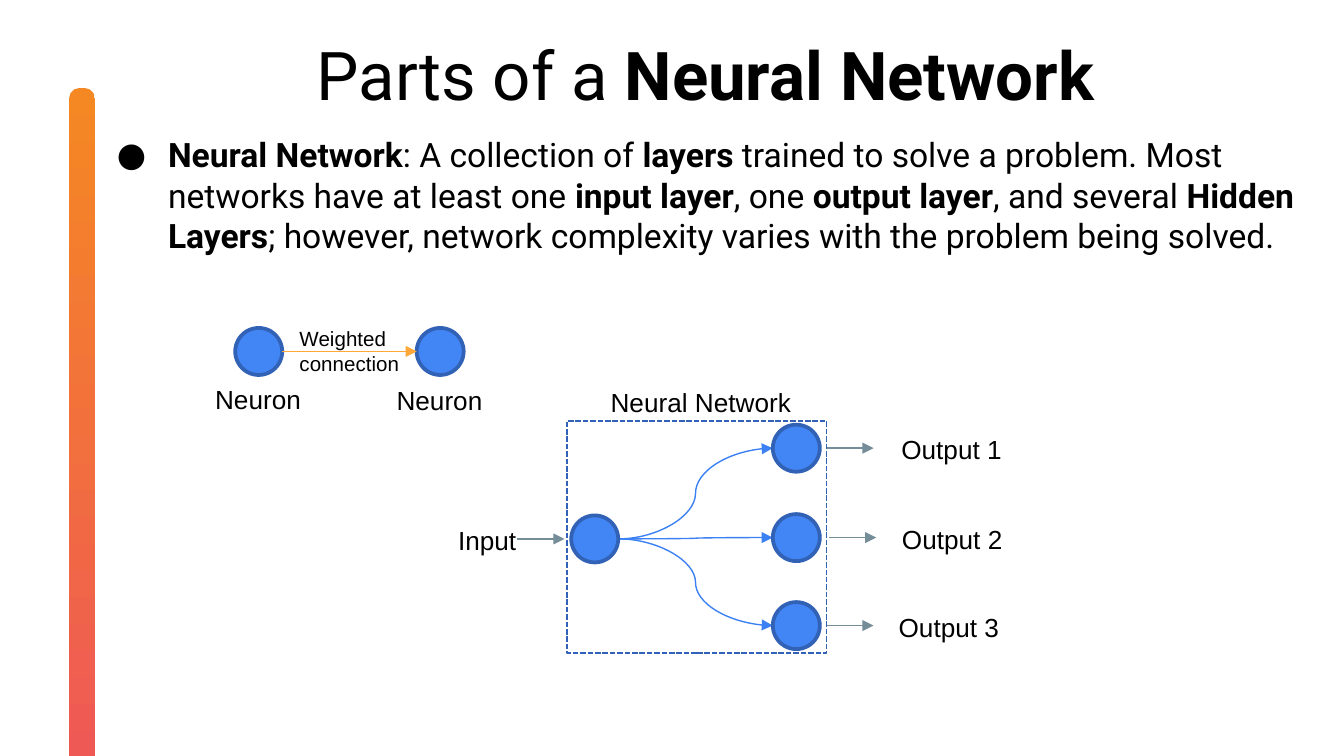
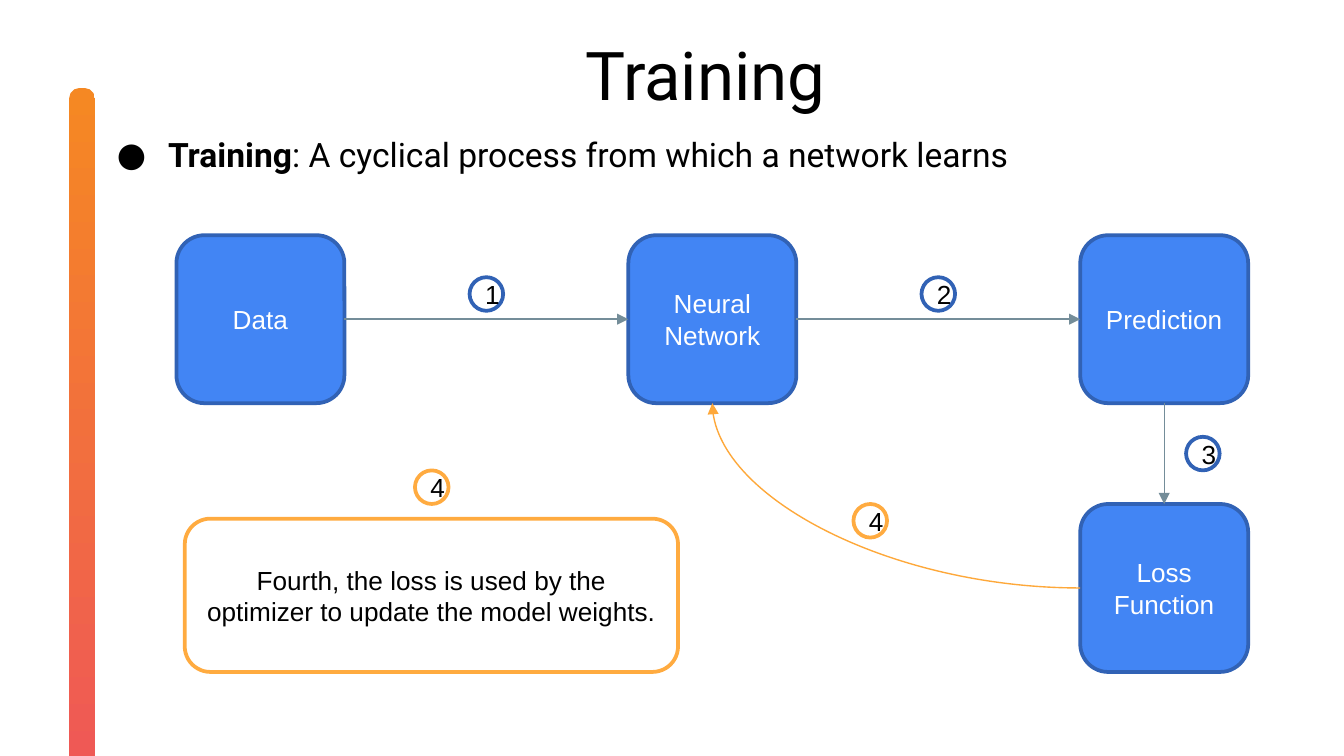
import pptx
import pptx.dml.color
import pptx.enum.dml
import pptx.enum.shapes
import pptx.enum.text
import pptx.oxml.ns
import pptx.util
from lxml import etree

SHAPE = pptx.enum.shapes.MSO_SHAPE
CONNECTOR = pptx.enum.shapes.MSO_CONNECTOR
ANCHOR = pptx.enum.text.MSO_ANCHOR
ALIGN = pptx.enum.text.PP_ALIGN
FIT = pptx.enum.text.MSO_AUTO_SIZE
qn = pptx.oxml.ns.qn

# The grid has square cells of a quarter inch
CELL = 0.25
COLUMNS, ROWS = 40, 22.5

COLORS = {
    "black": "000000", "white": "FFFFFF",
    "blue": "4285F4", "navy": "3162B5", "curve": "3C81F3",
    "gray": "748D99", "amber": "FFAB40", "feedback": "FEA83A",
    "bar_top": "F58823", "bar_end": "EF5757",
}
HEADING = {"name": "Roboto", "size": pptx.util.Pt(36)}
BODY = {"name": "Roboto", "size": pptx.util.Pt(18)}
LABEL = {"name": "Arial", "size": pptx.util.Pt(14)}
SMALL = {"name": "Arial", "size": pptx.util.Pt(11)}
FLUSH = {"margin_left": 0, "margin_top": 0, "margin_right": 0, "margin_bottom": 0,
         "word_wrap": True, "auto_size": FIT.NONE, "vertical_anchor": ANCHOR.TOP}

NODE = 1.4      # diameter of a neuron
BOX = 5         # side of a step box
BADGE = 1       # diameter of a step number


def cells(*counts):
    return [pptx.util.Inches(count * CELL) for count in counts]


def color(name):
    return pptx.dml.color.RGBColor.from_string(COLORS[name])


def apply(target, formats):
    for name, value in formats.items():
        setattr(target, name, value)


# Text
def write(para, spans, font, ink="black"):
    """Fill a paragraph with (text, bold) spans."""
    for text, bold in spans:
        span = para.add_run()
        span.text = text
        apply(span.font, {**font, "bold": bold})
        span.font.color.rgb = color(ink)


def add_bullet(para):
    props = para._p.get_or_add_pPr()
    props.set("marL", str(pptx.util.Inches(0.5)))
    props.set("indent", str(pptx.util.Inches(-0.38)))
    tint = etree.SubElement(props, qn("a:buClr"))
    etree.SubElement(tint, qn("a:srgbClr"), val=COLORS["black"])
    etree.SubElement(props, qn("a:buFont"), typeface="Roboto")
    etree.SubElement(props, qn("a:buChar"), char="●")


def fill_placeholder(holder, place, spans, font):
    apply(holder, dict(zip(("left", "top", "width", "height"), cells(*place))))
    apply(holder.text_frame, FLUSH)
    para = holder.text_frame.paragraphs[0]
    write(para, spans, font)
    return para


def add_label(page, place, text, font=LABEL, align=ALIGN.CENTER, anchor=ANCHOR.MIDDLE):
    box = page.shapes.add_textbox(*cells(*place))
    apply(box.text_frame, {"word_wrap": True, "auto_size": FIT.SHAPE_TO_FIT_TEXT,
                           "vertical_anchor": anchor})
    para = box.text_frame.paragraphs[0]
    para.alignment = align
    write(para, [(text, False)], font)


# Shapes
def add_figure(page, kind, place, fill=None, edge="navy", weight=2, text=None, ink="black"):
    figure = page.shapes.add_shape(kind, *cells(*place))
    figure.shadow.inherit = False
    if fill:
        figure.fill.solid()
        figure.fill.fore_color.rgb = color(fill)
    else:
        figure.fill.background()
    figure.line.color.rgb = color(edge)
    figure.line.width = pptx.util.Pt(weight)
    if text:
        apply(figure.text_frame, {"word_wrap": True, "vertical_anchor": ANCHOR.MIDDLE})
        para = figure.text_frame.paragraphs[0]
        para.alignment = ALIGN.CENTER
        write(para, [(text, False)], LABEL, ink)
    return figure


def add_neuron(page, column, row):
    add_figure(page, SHAPE.OVAL, (column, row, NODE, NODE), "blue")


def add_step(page, column, row, text):
    add_figure(page, SHAPE.ROUNDED_RECTANGLE, (column, row, BOX, BOX), "blue",
               text=text, ink="white")


def add_badge(page, column, row, number, fill=None, edge="navy"):
    add_figure(page, SHAPE.OVAL, (column, row, BADGE, BADGE), fill, edge, text=number)


def add_arrow(page, start, end, ink="gray", kind=CONNECTOR.STRAIGHT, preset=None):
    arrow = page.shapes.add_connector(kind, *cells(*start, *end))
    arrow.line.color.rgb = color(ink)
    arrow.line.width = pptx.util.Pt(0.75)
    props = arrow.element.spPr
    if preset:
        props.find(qn("a:prstGeom")).set("prst", preset)
    etree.SubElement(props.find(qn("a:ln")), qn("a:tailEnd"), type="triangle")
    etree.SubElement(props, qn("a:effectLst"))


# Shared frame of every slide
def add_bar(page):
    bar = page.shapes.add_shape(SHAPE.ROUNDED_RECTANGLE, *cells(-7.92, 12.6, 20.72, 0.76))
    bar.rotation = 90
    bar.adjustments[0] = 0.39
    bar.shadow.inherit = False
    bar.line.fill.background()
    bar.fill.gradient()
    bar.fill.gradient_angle = 0
    for stop, name in zip(bar.fill.gradient_stops, ("bar_top", "bar_end")):
        stop.color.rgb = color(name)


def add_page(deck, title, definition):
    page = deck.slides.add_slide(deck.slide_layouts[1])
    para = fill_placeholder(page.shapes.title, (3, 1, 36, 3), title, HEADING)
    para.alignment = ALIGN.CENTER
    para = fill_placeholder(page.placeholders[1], (3, 4, 36, 11), definition, BODY)
    add_bullet(para)
    apply(para, {"space_before": pptx.util.Pt(0), "space_after": pptx.util.Pt(6)})
    add_bar(page)
    return page


def draw_network(page):
    input_column, output_column, input_row = 17, 23, 15.34
    middle = input_row + NODE / 2
    # Row of the neuron, column of its arrow, column of its label
    outputs = [(12.64, 24.6, 26.16), (15.3, 24.68, 26.18), (17.92, 24.6, 26.08)]

    for row, _, _ in outputs:
        add_arrow(page, (input_column + NODE, middle), (output_column, row + NODE / 2),
                  "curve", CONNECTOR.CURVE)
    add_neuron(page, input_column, input_row)
    add_arrow(page, (15.4, middle), (16.8, middle))
    add_label(page, (13.12, 15.4, 2.76, 1.36), "Input")
    for number, (row, arrow_column, label_column) in enumerate(outputs, 1):
        center = row + NODE / 2
        add_neuron(page, output_column, row)
        add_arrow(page, (arrow_column, center), (arrow_column + 1.4, center))
        add_label(page, (label_column, row + 0.05, 4.32, 1.36), f"Output {number}")

    frame = add_figure(page, SHAPE.RECTANGLE, (16.88, 12.52, 7.72, 6.92), weight=1)
    frame.line.dash_style = pptx.enum.dml.MSO_LINE.SQUARE_DOT
    add_label(page, (17.4, 11.28, 6.92, 1.36), "Neural Network")


def draw_connection(page):
    left, right, row = 7, 12.4, 9.76
    for column, label_row in ((left, 11.2), (right, 11.24)):
        add_neuron(page, column, row)
        add_label(page, (column - 2.36, label_row, 6.08, 1.36), "Neuron", anchor=ANCHOR.TOP)
    add_label(page, (8.52, 9.52, 3.86, 1.88), "Weighted connection", SMALL,
              ALIGN.LEFT, ANCHOR.TOP)
    center = row + NODE / 2
    add_arrow(page, (left + NODE, center), (right, center), "feedback")


def draw_training(page):
    first, step, top, bottom = 5.25, 13.45, 7, 15
    data, network, prediction = (first + index * step for index in range(3))
    for column, text in ((data, "Data"), (network, "Neural Network"),
                         (prediction, "Prediction")):
        add_step(page, column, top, text)
    add_step(page, prediction, bottom, "Loss Function")

    # Forward path
    for number, column in (("1", data), ("2", network)):
        center = top + BOX / 2
        add_arrow(page, (column + BOX, center), (column + step, center))
        add_badge(page, column + (BOX + step - BADGE) / 2, 8.25, number)
    add_arrow(page, (prediction + BOX / 2, top + BOX), (prediction + BOX / 2, bottom))
    add_badge(page, 35.3, 13, "3")

    # Weight update
    add_badge(page, 25.4, 15, "4", "white", "amber")
    add_arrow(page, (prediction, bottom + BOX / 2), (network + BOX / 2, top + BOX),
              "feedback", CONNECTOR.CURVE, "curvedConnector2")
    add_badge(page, 12.35, 14, "4", "white", "amber")
    add_figure(page, SHAPE.ROUNDED_RECTANGLE, (5.5, 15.44, 14.68, 4.56), "white", "amber",
               text="Fourth, the loss is used by the optimizer to update the model weights.")


def main():
    deck = pptx.Presentation()
    deck.slide_width, deck.slide_height = cells(COLUMNS, ROWS)

    page = add_page(deck, [("Parts of a ", False), ("Neural Network", True)], [
        ("Neural Network", True), (": A collection of ", False), ("layers", True),
        (" trained to solve a problem. Most networks have at least one ", False),
        ("input layer", True), (", one ", False), ("output layer", True),
        (", and several ", False), ("Hidden Layers", True),
        ("; however, network complexity varies with the problem being solved.", False),
    ])
    draw_network(page)
    draw_connection(page)

    page = add_page(deck, [("Training", False)], [
        ("Training", True), (": A cyclical process from which a network learns", False),
    ])
    draw_training(page)

    deck.save("out.pptx")


if __name__ == "__main__":
    main()
